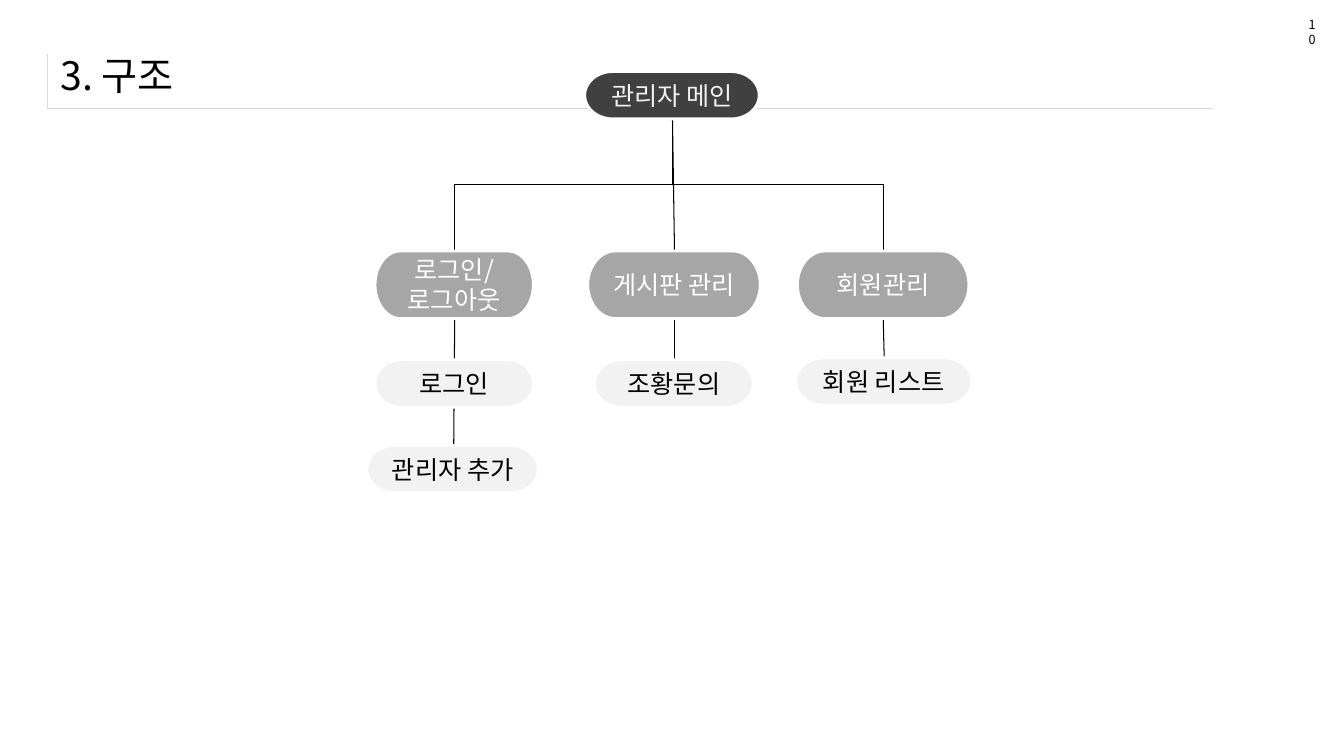
from lxml import etree
from pptx import Presentation
from pptx.dml.color import RGBColor
from pptx.enum.shapes import MSO_CONNECTOR, MSO_SHAPE
from pptx.enum.text import MSO_ANCHOR, PP_ALIGN
from pptx.oxml.ns import qn
from pptx.util import Inches, Pt

TERMINATOR = MSO_SHAPE.FLOWCHART_TERMINATOR
STRAIGHT, ELBOW = MSO_CONNECTOR.STRAIGHT, MSO_CONNECTOR.ELBOW
LEFT, CENTER = PP_ALIGN.LEFT, PP_ALIGN.CENTER
MIDDLE = MSO_ANCHOR.MIDDLE

BLACK = RGBColor(0x00, 0x00, 0x00)
WHITE = RGBColor(0xFF, 0xFF, 0xFF)
DARK = RGBColor(0x40, 0x40, 0x40)
GRAY = RGBColor(0xA6, 0xA6, 0xA6)
PALE = RGBColor(0xF2, 0xF2, 0xF2)
FONT = "Noto Sans CJK KR"

TITLE = "3. 구조"
PAGE = "10"
ROOT_X, ROOT_BOTTOM = 6.67, 1.18
MENU_TOP, MENU_BOTTOM = 2.49, 3.16
MENU_H, ITEM_H = 0.67, 0.47
BRANCHES = [4.51, 8.76]
LINKS = [
    (4.51, MENU_BOTTOM, 4.5, 4.42),
    (8.76, MENU_BOTTOM, 8.77, 3.55),
    (6.69, MENU_BOTTOM, 6.69, 3.57),
    (ROOT_X, ROOT_BOTTOM, 6.69, MENU_TOP),
]
NODES = [
    (["관리자 메인"], 5.8, 0.71, 1.73, ITEM_H, DARK, PALE),
    (["로그인/", "로그아웃"], 3.72, MENU_TOP, 1.57, MENU_H, GRAY, WHITE),
    (["게시판 관리"], 5.83, MENU_TOP, 1.71, MENU_H, GRAY, WHITE),
    (["회원관리"], 7.91, MENU_TOP, 1.7, MENU_H, GRAY, WHITE),
    (["로그인"], 3.72, 3.57, 1.57, ITEM_H, PALE, BLACK),
    (["조황문의"], 5.9, 3.57, 1.57, ITEM_H, PALE, BLACK),
    (["회원 리스트"], 7.89, 3.55, 1.75, ITEM_H, PALE, BLACK),
    (["관리자 추가"], 3.64, 4.42, 1.7, ITEM_H, PALE, BLACK),
]


def write(tf, lines, size, color, align):
    for i, text in enumerate(lines):
        p = tf.add_paragraph() if i else tf.paragraphs[0]
        p.alignment = align
        r = p.add_run()
        r.text = text
        r.font.size = Pt(size)
        r.font.name = FONT
        r.font.color.rgb = color
        ea = etree.SubElement(r.font._element, qn("a:ea"))
        ea.set("typeface", FONT)


def add_header_frame(slide):
    frame = slide.shapes.add_table(
        1, 1, Inches(0.47), Inches(0.54), Inches(11.56), Inches(0.53))
    table = frame.table
    table.first_row = table.horz_banding = False
    cell = table.cell(0, 0)
    props = cell._tc.get_or_add_tcPr()
    for side, visible in [("L", True), ("R", False), ("T", False), ("B", True)]:
        ln = etree.SubElement(props, qn("a:ln" + side), w=str(Pt(0.25)))
        if visible:
            fill = etree.SubElement(ln, qn("a:solidFill"))
            etree.SubElement(fill, qn("a:srgbClr"), val="D9D9D9")
        else:
            etree.SubElement(ln, qn("a:noFill"))
    cell.fill.background()


def add_line(slide, kind, x1, y1, x2, y2):
    line = slide.shapes.add_connector(
        kind, Inches(x1), Inches(y1), Inches(x2), Inches(y2))
    line.line.color.rgb = BLACK
    line.line.width = Pt(0.75)
    etree.SubElement(line._element.spPr, qn("a:effectLst"))
    return line


def add_branch(slide, x):
    drop, span = MENU_TOP - ROOT_BOTTOM, abs(x - ROOT_X)
    cx, cy = (x + ROOT_X) / 2, (ROOT_BOTTOM + MENU_TOP) / 2
    side = 1 if x > ROOT_X else -1
    line = add_line(slide, ELBOW, cx + side * drop / 2, cy - span / 2,
                    cx - side * drop / 2, cy + span / 2)
    angle = 270 if side > 0 else 90
    line._element.spPr.find(qn("a:xfrm")).set("rot", str(angle * 60000))


def add_node(slide, lines, x, y, w, h, fill, color):
    sp = slide.shapes.add_shape(
        TERMINATOR, Inches(x), Inches(y), Inches(w), Inches(h))
    sp.shadow.inherit = False
    sp.fill.solid()
    sp.fill.fore_color.rgb = fill
    sp.line.color.rgb = WHITE
    sp.line.width = Pt(2)
    sp.text_frame.vertical_anchor = MIDDLE
    write(sp.text_frame, lines, 18, color, CENTER)


def main():
    prs = Presentation()
    prs.slide_width, prs.slide_height = Inches(13.33), Inches(7.5)
    slide = prs.slides.add_slide(prs.slide_layouts[5])

    title = slide.shapes.title
    title.left, title.top = Inches(0.5), Inches(0.41)
    title.width, title.height = Inches(12.49), Inches(0.67)
    title.text_frame.vertical_anchor = MIDDLE
    write(title.text_frame, [TITLE], 28, BLACK, LEFT)

    add_header_frame(slide)
    for x in BRANCHES:
        add_branch(slide, x)
    for link in LINKS:
        add_line(slide, STRAIGHT, *link)
    for node in NODES:
        add_node(slide, *node)

    page = slide.shapes.add_textbox(
        Inches(12.88), Inches(0.12), Inches(0.27), Inches(0.25))
    page.text_frame.word_wrap = True
    write(page.text_frame, [PAGE], 9, BLACK, LEFT)

    prs.save("out.pptx")


if __name__ == "__main__":
    main()
